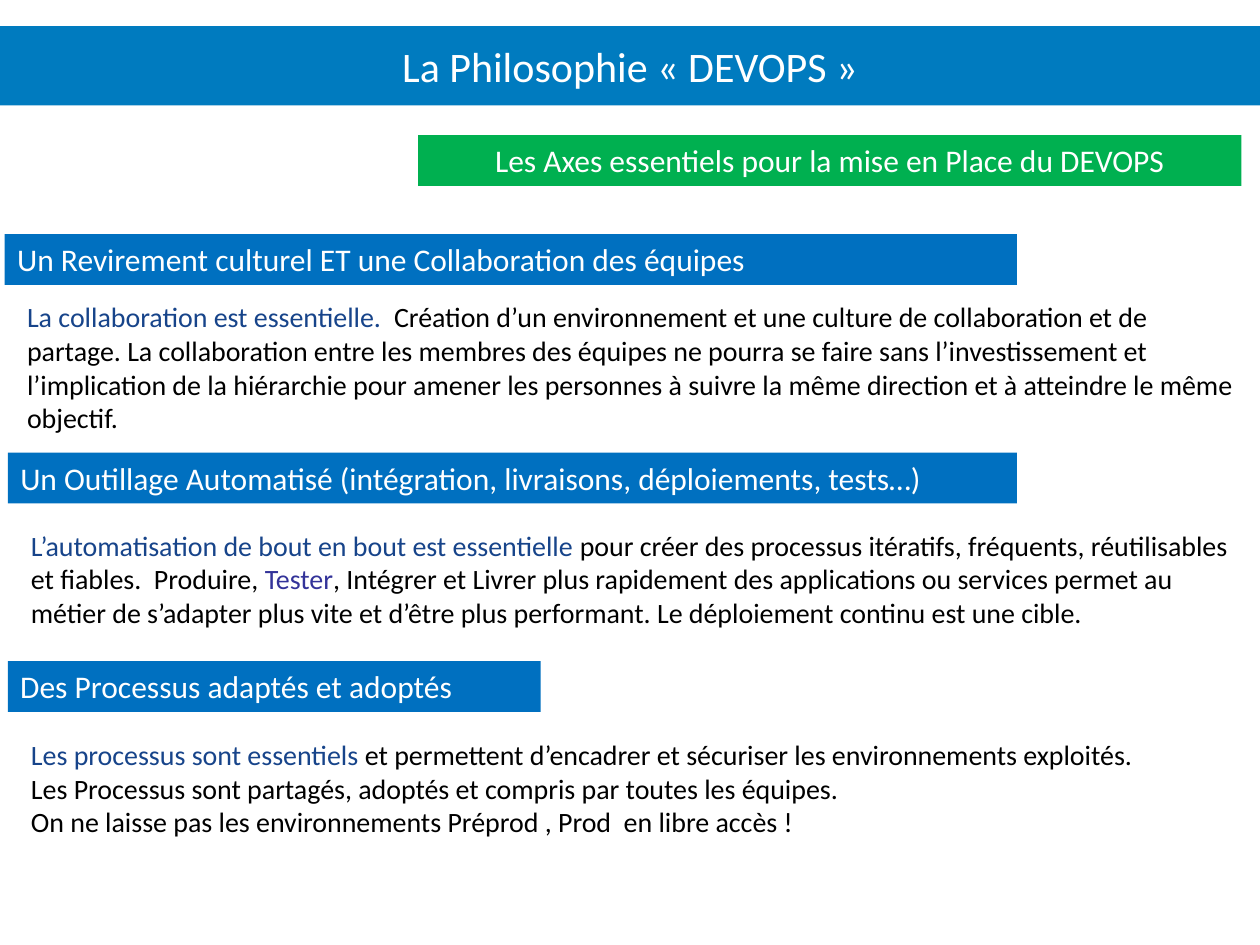
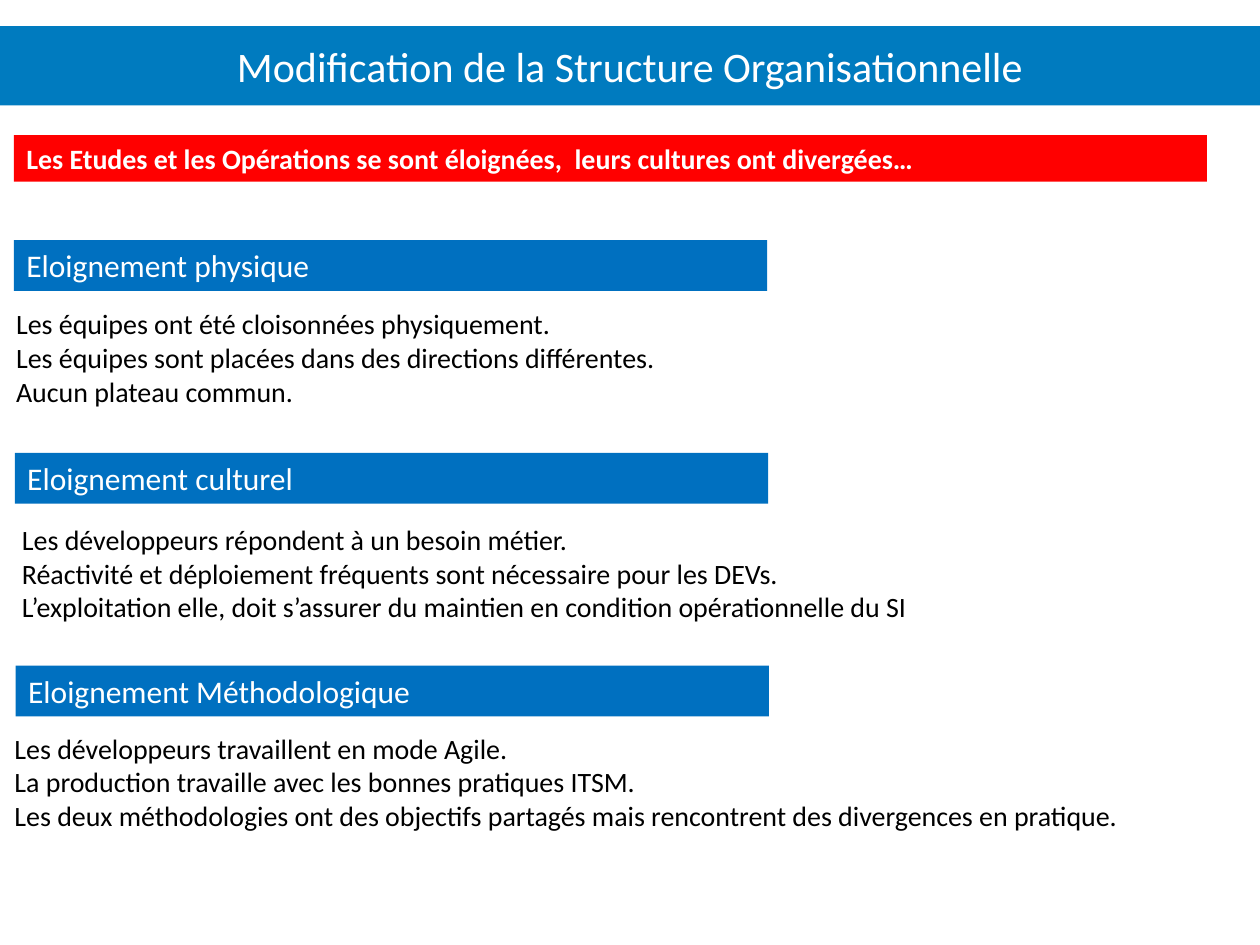
from pptx import Presentation
from pptx.dml.color import RGBColor
from pptx.enum.shapes import MSO_SHAPE
from pptx.enum.text import MSO_ANCHOR, MSO_AUTO_SIZE, PP_ALIGN
from pptx.util import Pt

COLORS = {
    "title_band": "007BBF",
    "heading": "0070C0",
    "subject": "00B050",
    "alert": "FF0000",
    "key_phrase": "17448A",
    "key_word": "333399",
    "text": "000000",
    "white": "FFFFFF",
}
FONT = "Calibri"
SLIDE_WIDTH, SLIDE_HEIGHT = 720, 540
TITLE_TOP, TITLE_HEIGHT = 15, 45.2
BANNER_TOP = 77.2
HEADING_HEIGHT = 29
BODY_HEIGHT = 65.5


def write_text(text_frame, text, size=16, color="text", bold=False,
               align=PP_ALIGN.LEFT, anchor=MSO_ANCHOR.TOP):
    """Write paragraphs; each is a string or a list of (text, color) runs."""
    text_frame.word_wrap = True
    text_frame.auto_size = MSO_AUTO_SIZE.NONE
    text_frame.vertical_anchor = anchor
    paragraphs = [text] if isinstance(text, str) else text
    for index, content in enumerate(paragraphs):
        paragraph = text_frame.paragraphs[0] if index == 0 else text_frame.add_paragraph()
        paragraph.alignment = align
        runs = [(content, color)] if isinstance(content, str) else content
        for run_text, run_color in runs:
            run = paragraph.add_run()
            run.text = run_text
            run.font.name = FONT
            run.font.size = Pt(size)
            run.font.bold = bold
            run.font.color.rgb = RGBColor.from_string(COLORS[run_color])


class SlideBuilder:
    def __init__(self, presentation):
        self.presentation = presentation
        self.slide = None

    def fill(self, shape, color):
        shape.fill.solid()
        shape.fill.fore_color.rgb = RGBColor.from_string(COLORS[color])

    def new_slide(self, title):
        layout = self.presentation.slide_layouts.get_by_name("Title Only")
        self.slide = self.presentation.slides.add_slide(layout)
        shape = self.slide.shapes.title
        shape.left, shape.top = Pt(0), Pt(TITLE_TOP)
        shape.width, shape.height = Pt(SLIDE_WIDTH), Pt(TITLE_HEIGHT)
        self.fill(shape, "title_band")
        write_text(shape.text_frame, title, size=24, color="white",
                   align=PP_ALIGN.CENTER, anchor=MSO_ANCHOR.MIDDLE)

    def band(self, text, left, top, width, height=HEADING_HEIGHT,
             color="heading", size=18, **text_format):
        shape = self.slide.shapes.add_shape(
            MSO_SHAPE.RECTANGLE, Pt(left), Pt(top), Pt(width), Pt(height))
        shape.shadow.inherit = False
        shape.line.fill.background()
        self.fill(shape, color)
        write_text(shape.text_frame, text, size=size, color="white", **text_format)

    def body(self, text, left, top, width, height=BODY_HEIGHT):
        box = self.slide.shapes.add_textbox(Pt(left), Pt(top), Pt(width), Pt(height))
        write_text(box.text_frame, text)


def build_philosophy(builder):
    builder.new_slide("La Philosophie « DEVOPS »")
    builder.band("Les Axes essentiels pour la mise en Place du DEVOPS",
                 239, BANNER_TOP, 470.5, color="subject", align=PP_ALIGN.CENTER)

    # Culture and collaboration
    builder.band("Un Revirement culturel ET une Collaboration des équipes", 2.7, 133.8, 578.4)
    builder.body([[
        ("La collaboration est essentielle.  ", "key_phrase"),
        ("Création d’un environnement et une culture de collaboration et de partage. "
         "La collaboration entre les membres des équipes ne pourra se faire sans "
         "l’investissement et l’implication de la hiérarchie pour amener les personnes "
         "à suivre la même direction et à atteindre le même objectif.", "text"),
    ]], 8.4, 167.8, 711.6, height=85)

    # Automated tooling
    builder.band("Un Outillage Automatisé (intégration, livraisons, déploiements, tests…)",
                 4.5, 258.7, 576.6)
    builder.body([[
        ("L’automatisation de bout en bout est essentielle ", "key_phrase"),
        ("pour créer des processus itératifs, fréquents, réutilisables et fiables.  "
         "Produire, ", "text"),
        ("Tester", "key_word"),
        (", Intégrer et Livrer plus rapidement des applications ou services permet au "
         "métier de s’adapter plus vite et d’être plus performant. Le déploiement "
         "continu est une cible.", "text"),
    ]], 10.6, 298.3, 699)

    # Processes
    builder.band("Des Processus adaptés et adoptés", 4.5, 377.8, 304.5)
    builder.body([
        [("Les processus sont essentiels ", "key_phrase"),
         ("et permettent d’encadrer et sécuriser les environnements exploités.", "text")],
        "Les Processus sont partagés, adoptés et compris par toutes les équipes.",
        "On ne laisse pas les environnements Préprod , Prod  en libre accès !",
    ], 10.6, 418, 699)


def build_organisation(builder):
    builder.new_slide("Modification de la Structure Organisationnelle")
    builder.band("Les Etudes et les Opérations se sont éloignées,  leurs cultures ont divergées…",
                 8, BANNER_TOP, 681.7, height=26.7, color="alert", size=16, bold=True)

    # Each gap: heading, heading left, body left, body top, body width, body lines
    gaps = [
        ("Eloignement physique", 8, 2.1, 171.8, 630, [
            "Les équipes ont été cloisonnées physiquement.",
            "Les équipes sont placées dans des directions différentes.",
            "Aucun plateau commun.",
        ]),
        ("Eloignement culturel", 8.5, 5.5, 295.2, 695, [
            "Les développeurs répondent à un besoin métier.",
            "Réactivité et déploiement fréquents sont nécessaire pour les DEVs.",
            "L’exploitation elle, doit s’assurer du maintien en condition opérationnelle du SI",
        ]),
        ("Eloignement Méthodologique", 9, 1.2, 414.2, 718, [
            "Les développeurs travaillent en mode Agile.",
            "La production travaille avec les bonnes pratiques ITSM.",
            "Les deux méthodologies ont des objectifs partagés mais rencontrent des "
            "divergences en pratique.",
        ]),
    ]
    first_heading_top, heading_step = 137.2, 121.6
    for index, (heading, heading_left, left, top, width, lines) in enumerate(gaps):
        builder.band(heading, heading_left, first_heading_top + index * heading_step, 430.4)
        builder.body(lines, left, top, width)


def main():
    presentation = Presentation()
    presentation.slide_width, presentation.slide_height = Pt(SLIDE_WIDTH), Pt(SLIDE_HEIGHT)
    builder = SlideBuilder(presentation)
    build_philosophy(builder)
    build_organisation(builder)
    presentation.save("out.pptx")


if __name__ == "__main__":
    main()
